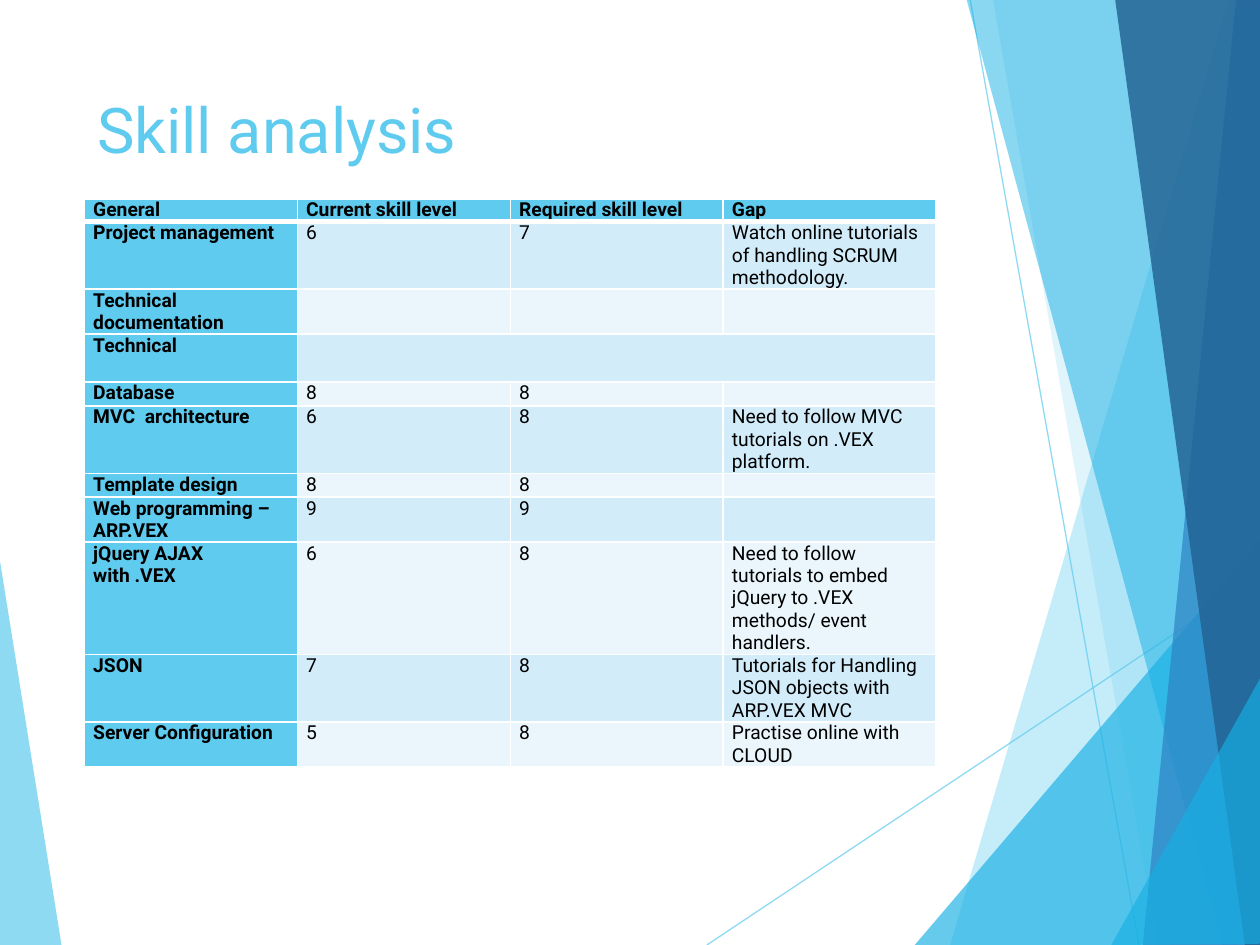
from dataclasses import dataclass

from lxml import etree
from pptx import Presentation
from pptx.dml.color import RGBColor
from pptx.enum.shapes import MSO_CONNECTOR
from pptx.enum.text import MSO_ANCHOR, PP_ALIGN
from pptx.oxml.ns import qn
from pptx.util import Inches, Pt

STRAIGHT = MSO_CONNECTOR.STRAIGHT
TOP = MSO_ANCHOR.TOP
LEFT = PP_ALIGN.LEFT

SKY = RGBColor(0x5F, 0xCB, 0xEF)
CYAN = RGBColor(0x17, 0xB0, 0xE4)
BLUE = RGBColor(0x2E, 0x83, 0xC3)
NAVY = RGBColor(0x22, 0x62, 0x92)
BLACK = RGBColor(0, 0, 0)
BANDS = (RGBColor(0xD2, 0xEC, 0xF9), RGBColor(0xEA, 0xF6, 0xFC))

FONT = "Roboto"
TABLE_SIZE = 11
LINE_HEIGHT = 0.18
COLUMN_WIDTH = 1.69


@dataclass(frozen=True)
class Facet:
    """A translucent polygon; points in inches, opacity in percent."""
    points: tuple[tuple[float, float], ...]
    color: RGBColor
    opacity: int


@dataclass(frozen=True)
class Ray:
    """A thin diagonal line between two points in inches."""
    start: tuple[float, float]
    end: tuple[float, float]


@dataclass(frozen=True)
class Skill:
    """One table row; height in inches."""
    name: str
    current: str = ""
    required: str = ""
    gap: str = ""
    height: float = LINE_HEIGHT


DECORATION = (
    Facet(((-0.01, 4.39), (0.49, 7.51), (-0.01, 7.5)), SKY, 70),
    Ray((5.61, 7.5), (10.01, 4.57)),
    Ray((7.7, 0), (9.04, 7.5)),
    Facet(((9.75, 0), (7.54, 7.5), (10.02, 7.51), (10.01, 0.01)), SKY, 36),
    Facet(((7.88, -0.01), (9.19, 7.5), (10.01, 7.5), (10.01, -0.01)), SKY, 20),
    Facet(((7.26, 7.5), (10, 4.29), (10.01, 7.5)), CYAN, 66),
    Facet(((7.67, -0.01), (9.7, 7.5), (10.01, 7.49), (10.01, -0.01)), CYAN, 50),
    Facet(((9.81, -0.01), (9.07, 7.5), (10.01, 7.5), (10, -0.01)), BLUE, 70),
    Facet(((8.85, -0.01), (9.88, 7.5), (10.02, 7.5), (10, -0.01)), NAVY, 82),
    Facet(((8.82, 7.5), (10.02, 5.35), (10.02, 7.49)), CYAN, 66),
)

SKILLS = (
    Skill("General", "Current skill level", "Required skill level", "Gap"),
    Skill("Project management", "6", "7",
          "Watch online tutorials of handling SCRUM methodology."),
    Skill("Technical documentation"),
    Skill("Technical", height=0.38),
    Skill("Database ", "8", "8"),
    Skill("MVC  architecture ", "6", "8",
          "Need to follow MVC tutorials on .VEX platform."),
    Skill("Template design", "8", "8"),
    Skill("Web programming – ARP.VEX ", "9", "9"),
    Skill("jQuery AJAX with\u00a0.VEX", "6", "8",
          "Need to follow tutorials to embed jQuery to .VEX methods/ event handlers."),
    Skill("JSON", "7", "8", "Tutorials for Handling JSON objects with ARP.VEX MVC"),
    Skill("Server Configuration ", "5", "8", "Practise online with CLOUD "),
)
SECTION_ROW = 3


def write_text(frame, text: str, *, size: float, color: RGBColor,
               bold: bool = False) -> None:
    """Write one left-aligned paragraph, sizing it even when it is empty."""
    para = frame.paragraphs[0]
    para.alignment = LEFT
    if not text:
        etree.SubElement(para._p, qn("a:endParaRPr"), sz=str(size * 100))
        return
    span = para.add_run()
    span.text = text
    span.font.name = FONT
    span.font.size = Pt(size)
    span.font.bold = bold
    span.font.color.rgb = color


def set_opacity(shape, percent: int) -> None:
    """Make the fill or line colours of a shape translucent."""
    for color in shape._element.spPr.iter(qn("a:srgbClr")):
        etree.SubElement(color, qn("a:alpha"), val=str(percent * 1000))


def draw_facet(slide, facet: Facet) -> None:
    """Draw a translucent polygon without outline."""
    points = [(Inches(x), Inches(y)) for x, y in facet.points]
    builder = slide.shapes.build_freeform(*points[0])
    builder.add_line_segments(points[1:], close=True)
    shape = builder.convert_to_shape()
    shape.shadow.inherit = False
    shape.fill.solid()
    shape.fill.fore_color.rgb = facet.color
    shape.line.fill.background()
    set_opacity(shape, facet.opacity)


def draw_ray(slide, ray: Ray) -> None:
    """Draw a thin translucent line."""
    ends = [Inches(value) for value in ray.start + ray.end]
    line = slide.shapes.add_connector(STRAIGHT, *ends)
    line.line.color.rgb = SKY
    line.line.width = Pt(0.75)
    set_opacity(line, 70)
    etree.SubElement(line._element.spPr, qn("a:effectLst"))


def place_title(slide) -> None:
    """Fill the title placeholder and bring it in front of the decoration."""
    title = slide.shapes.title
    title.left, title.top = Inches(0.67), Inches(0.67)
    title.width, title.height = Inches(6.94), Inches(1.44)
    title.text_frame.vertical_anchor = TOP
    write_text(title.text_frame, "Skill analysis", size=36, color=SKY)
    slide.shapes._spTree.append(title._element)


def add_borders(cell, bottom: float) -> None:
    """Give a cell white 1 pt borders and a bottom border of its own width."""
    properties = cell._tc.get_or_add_tcPr()
    for side, width in (("L", 1), ("R", 1), ("T", 1), ("B", bottom)):
        line = etree.SubElement(properties, qn(f"a:ln{side}"), w=str(Pt(width)))
        fill = etree.SubElement(line, qn("a:solidFill"))
        etree.SubElement(fill, qn("a:srgbClr"), val="FFFFFF")


def draw_table(slide) -> None:
    """Draw the skill table with a coloured header row and first column."""
    frame = slide.shapes.add_table(
        len(SKILLS), 4, Inches(0.67), Inches(1.58), Inches(4 * COLUMN_WIDTH),
        Inches(sum(skill.height for skill in SKILLS)))
    table = frame.table
    table.horz_banding = False
    for column in table.columns:
        column.width = Inches(COLUMN_WIDTH)
    for row, skill in enumerate(SKILLS):
        table.rows[row].height = Inches(skill.height)
        texts = (skill.name, skill.current, skill.required, skill.gap)
        for column, text in enumerate(texts):
            cell = table.cell(row, column)
            heading = row == 0 or column == 0
            cell.margin_left = cell.margin_right = Inches(0.07)
            cell.margin_top = cell.margin_bottom = 0
            add_borders(cell, bottom=3 if row == 0 else 1)
            cell.fill.solid()
            cell.fill.fore_color.rgb = SKY if heading else BANDS[(row - 1) % 2]
            write_text(cell.text_frame, text, size=TABLE_SIZE, color=BLACK,
                       bold=heading)
    table.cell(SECTION_ROW, 1).merge(table.cell(SECTION_ROW, 3))


def main() -> None:
    """Build and save the deck."""
    deck = Presentation()
    deck.slide_width, deck.slide_height = Inches(10), Inches(7.5)
    page = deck.slides.add_slide(deck.slide_layouts[5])
    for item in DECORATION:
        if isinstance(item, Ray):
            draw_ray(page, item)
        else:
            draw_facet(page, item)
    place_title(page)
    draw_table(page)
    deck.save("out.pptx")


main()
